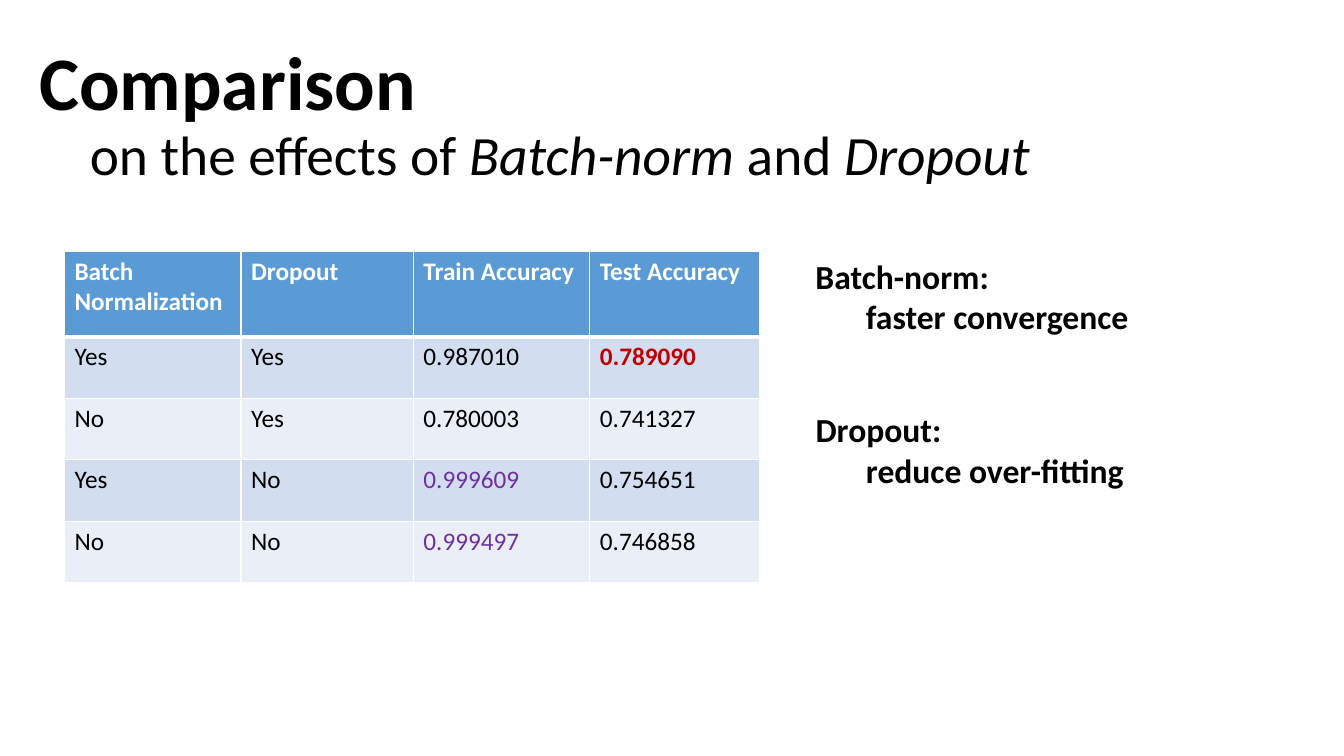
"""Build a slide comparing the effects of batch normalization and dropout."""
from lxml.etree import SubElement
from pptx import Presentation
from pptx.dml.color import RGBColor
from pptx.enum.text import MSO_ANCHOR as Anchor, MSO_AUTO_SIZE as AutoSize, PP_ALIGN as Align
from pptx.oxml.ns import qn
from pptx.util import Inches, Pt


def style(font, size, color="000000", bold=False):
    font.name = "Calibri"
    font.size = Pt(size)
    font.bold = bold
    font.color.rgb = RGBColor.from_string(color)


def add_border(cell, side, points):
    line = SubElement(cell._tc.get_or_add_tcPr(), qn(f"a:ln{side}"), w=str(Pt(points)))
    SubElement(SubElement(line, qn("a:solidFill")), qn("a:srgbClr"), val="FFFFFF")


deck = Presentation()
deck.slide_width, deck.slide_height = Inches(13.33), Inches(7.5)
slide = deck.slides.add_slide(deck.slide_layouts[5])

title = slide.shapes.title
title.left, title.top = Inches(0.29), Inches(0.43)
title.width, title.height = Inches(11.77), Inches(1.45)
title.text_frame.auto_size = AutoSize.NONE
title.text_frame.vertical_anchor = Anchor.MIDDLE
heading = title.text_frame.paragraphs[0]
heading.alignment = Align.LEFT
heading.line_spacing = 0.9
topic = heading.add_run()
topic.text = "Comparison "
style(topic.font, 54, bold=True)
heading.add_line_break()
for words, italic in [("\ton the effects of ", False), ("Batch-norm ", True),
                      ("and ", False), ("Dropout", True)]:
    subtitle = heading.add_run()
    subtitle.text = words
    style(subtitle.font, 39.6)
    subtitle.font.italic = italic

results = [
    ("Batch Normalization", "Dropout", "Train Accuracy", "Test Accuracy"),
    ("Yes", "Yes", "0.987010", "0.789090"),
    ("No", "Yes", "0.780003", "0.741327"),
    ("Yes", "No", "0.999609", "0.754651"),
    ("No", "No", "0.999497", "0.746858"),
]
highlights = {"0.789090": "C00000", "0.999609": "7030A0", "0.999497": "7030A0"}
accuracy = slide.shapes.add_table(5, 4, Inches(0.64), Inches(2.49), Inches(6.89), Inches(3.29)).table
for column, width in zip(accuracy.columns, (1.75, 1.71, 1.75, 1.68)):
    column.width = Inches(width)
for r, values in enumerate(results):
    accuracy.rows[r].height = Inches(0.61 if r else 0.85)
    band = "5B9BD5" if r == 0 else "D2DEEF" if r % 2 else "EAEFF7"
    for c, value in enumerate(values):
        cell = accuracy.cell(r, c)
        cell.text = value
        color = highlights.get(value, "000000") if r else "FFFFFF"
        style(cell.text_frame.paragraphs[0].font, 18, color, r == 0 or color == "C00000")
        for side, points in (("L", 1), ("R", 1), ("T", 3 if r == 1 else 1), ("B", 1 if r else 3)):
            add_border(cell, side, points)
        cell.fill.solid()
        cell.fill.fore_color.rgb = RGBColor.from_string(band)

for top, width, method, effect in [(2.49, 3.84, "Batch-norm:", "faster convergence"),
                                   (4.01, 3.81, "Dropout:", "reduce over-fitting")]:
    takeaway = slide.shapes.add_textbox(Inches(7.99), Inches(top), Inches(width), Inches(0.91)).text_frame
    takeaway.word_wrap = False
    takeaway.auto_size = AutoSize.SHAPE_TO_FIT_TEXT
    takeaway.text = f"{method}\n\t{effect}"
    for paragraph in takeaway.paragraphs:
        style(paragraph.font, 24, bold=True)

deck.save("out.pptx")
